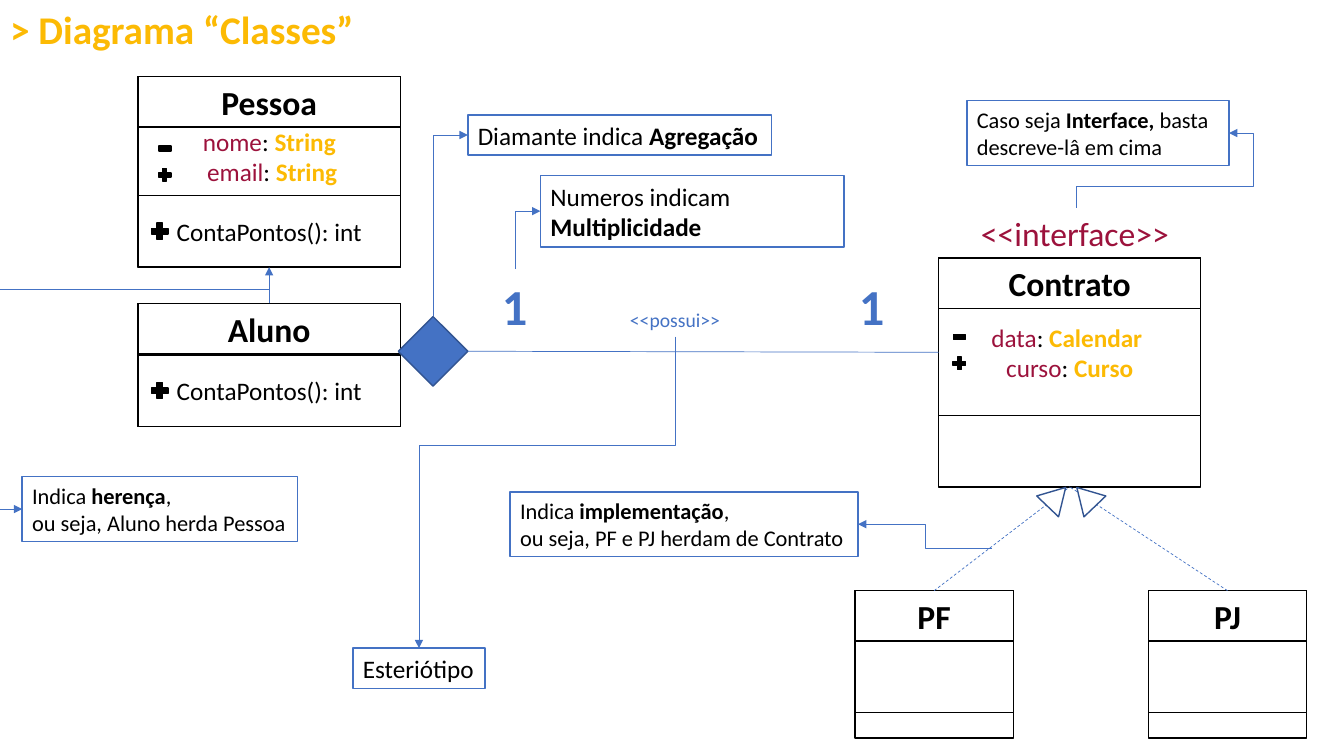
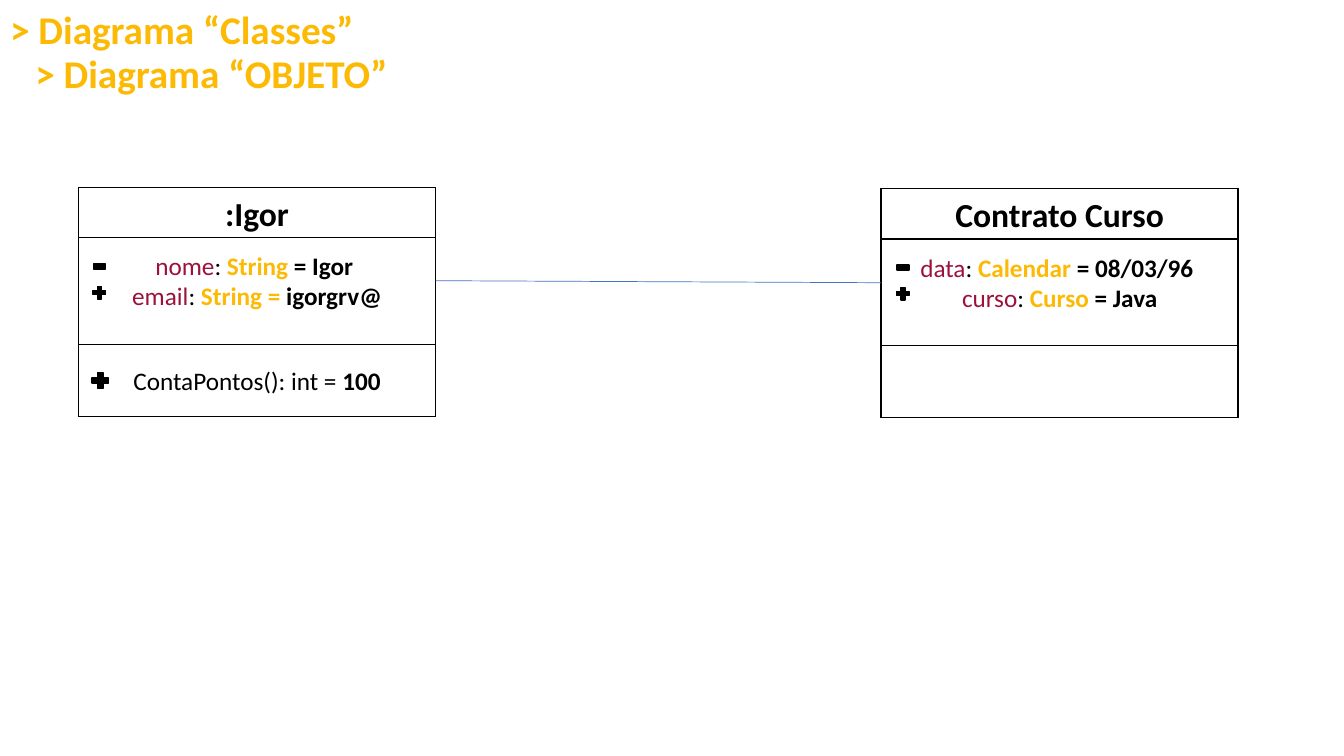
from dataclasses import dataclass

from lxml import etree
from pptx import Presentation
from pptx import util as u
from pptx.dml.color import RGBColor
from pptx.enum import dml, shapes, text
from pptx.oxml.ns import qn


@dataclass(frozen=True)
class Theme:
    font: str = "Calibri"
    ink: str = "000000"
    paper: str = "FFFFFF"
    gold: str = "FCBA04"
    wine: str = "9C123C"
    blue: str = "4472C4"
    edge: str = "325491"
    title: int = 28
    name: int = 24
    body: int = 18
    note: int = 16
    label: int = 14
    count: int = 36


theme = Theme()
GRID = u.Inches(0.1)  # the slide is 133.3 columns by 75 rows
RECT = shapes.MSO_SHAPE.RECTANGLE
PLUS = shapes.MSO_SHAPE.MATH_PLUS
TRIANGLE = shapes.MSO_SHAPE.ISOSCELES_TRIANGLE
LEFT, CENTER = text.PP_ALIGN.LEFT, text.PP_ALIGN.CENTER
TOP_SITE, LEFT_SITE, BOTTOM_SITE, RIGHT_SITE = range(4)


def place(page, kind, frame, lines=(), size=theme.body, align=CENTER,
          fill=theme.paper, edge=theme.ink, wrap=True):
    """Add a shape, or a text box if kind is None; lines hold (text, colour, bold) spans."""
    area = [round(length * GRID) for length in frame]
    if kind is None:
        box = page.shapes.add_textbox(*area)
    else:
        box = page.shapes.add_shape(kind, *area)
        box.shadow.inherit = False
        box.fill.solid()
        box.fill.fore_color.rgb = RGBColor.from_string(fill)
        box.line.color.rgb = RGBColor.from_string(edge)
        box.line.width = u.Pt(1)
    if lines:
        frame_text = box.text_frame
        frame_text.word_wrap = wrap
        frame_text.vertical_anchor = text.MSO_ANCHOR.MIDDLE
        for number, spans in enumerate(lines):
            para = frame_text.add_paragraph() if number else frame_text.paragraphs[0]
            para.alignment = align
            para.font.name, para.font.size = theme.font, u.Pt(size)
            for words, colour, bold in spans:
                span = para.add_run()
                span.text = words
                span.font.bold = bold
                span.font.color.rgb = RGBColor.from_string(colour)
    return box


def link(page, start, end, bends=None, turn=0, arrow=False, dashed=False):
    """Join two ends, each a (shape, site) pair or a (column, row) point."""
    kind = shapes.MSO_CONNECTOR.STRAIGHT if bends is None else shapes.MSO_CONNECTOR.ELBOW
    glued = [not isinstance(tip[0], (int, float)) for tip in (start, end)]
    points = [(0, 0) if fixed else [round(length * GRID) for length in tip]
              for tip, fixed in zip((start, end), glued)]
    line = page.shapes.add_connector(kind, *points[0], *points[1])
    if glued[0]:
        line.begin_connect(*start)
    if glued[1]:
        line.end_connect(*end)
    line.line.color.rgb = RGBColor.from_string(theme.blue)
    line.line.width = u.Pt(0.5)
    if dashed:
        line.line.dash_style = dml.MSO_LINE.DASH
    properties = line._element.spPr
    if arrow:
        etree.SubElement(properties.find(qn("a:ln")), qn("a:tailEnd"), type="triangle")
    etree.SubElement(properties, qn("a:effectLst"))
    if bends is not None:
        # Turn the span back about its middle, then let the frame rotate it
        across, down = line.end_x - line.begin_x, line.end_y - line.begin_y
        middle_x, middle_y = line.begin_x + across // 2, line.begin_y + down // 2
        across, down = {0: (across, down), 90: (down, -across), 180: (-across, -down)}[turn]
        line.begin_x, line.end_x = middle_x - across // 2, middle_x + across // 2
        line.begin_y, line.end_y = middle_y - down // 2, middle_y + down // 2
        properties.find(qn("a:xfrm")).set("rot", str(turn * 60000))
        geometry = properties.find(qn("a:prstGeom"))
        geometry.set("prst", f"bentConnector{len(bends) + 2}")
        for number, share in enumerate(bends, 1):
            name = "adj" if len(bends) == 0 else f"adj{number}"
            etree.SubElement(geometry.find(qn("a:avLst")), qn("a:gd"),
                             name=name, fmla=f"val {round(share * 100000)}")
    return line


deck = Presentation()
deck.slide_width, deck.slide_height = u.Inches(13.33), u.Inches(7.5)

# Pages and their headings: words, left, top, width
headings = [
    (5, [("> Diagrama “Classes”", 0, 0, 36.5)]),
    (0, [("> Diagrama “Classes”", 0, 0, 36.5), ("> Diagrama “OBJETO”", 2.5, 4.4, 37.3)]),
]
pages = []
for layout, rows in headings:
    page = deck.slides.add_slide(deck.slide_layouts[layout])
    pages.append(page)
    for box, (words, left, top, width) in zip(page.placeholders, rows):
        box.left, box.top = round(left * GRID), round(top * GRID)
        box.width, box.height = round(width * GRID), round(5.7 * GRID)
        frame_text = box.text_frame
        frame_text.text = words
        frame_text.word_wrap = False
        frame_text.auto_size = text.MSO_AUTO_SIZE.NONE
        frame_text.vertical_anchor = text.MSO_ANCHOR.TOP
        para = frame_text.paragraphs[0]
        para.alignment, para.space_before = LEFT, u.Pt(0)
        para.font.name, para.font.size, para.font.bold = theme.font, u.Pt(theme.title), True
        para.font.color.rgb = RGBColor.from_string(theme.gold)
classes_page, objects_page = pages

# Class boxes: page, name, left, top, width, height, foot height,
# attributes (name, type, value), attribute offset, mark offset, method, result
call = "ContaPontos(): int"
classes = [
    (classes_page, "Pessoa", 13.7, 7.6, 26, 18.9, 7.1,
     [("nome", "String ", ""), ("email", "String", "")], (0.3, 4.4), (1.8, 8.9), call, ""),
    (classes_page, "Aluno", 13.7, 30.1, 26, 12.2, 7.1, [], None, None, call, ""),
    (classes_page, "Contrato", 93.1, 25.6, 26, 22.7, 7.1,
     [("data", "Calendar ", ""), ("curso", "Curso", "")], (0, 5.8), (1.2, 9.6), "", ""),
    (classes_page, "PF", 84.8, 58.6, 15.7, 14.6, 2.5, [], None, None, "", ""),
    (classes_page, "PJ", 113.9, 58.6, 15.7, 14.6, 2.5, [], None, None, "", ""),
    (objects_page, ":Igor", 7.8, 18.6, 35.4, 22.7, 7.1,
     [("nome", "String ", "= Igor "), ("email", "String = ", "igorgrv@")],
     (0, 5.7), (1.2, 9.6), call + " = ", "100"),
    (objects_page, "Contrato Curso", 87.4, 18.7, 35.4, 22.7, 7.1,
     [("data", "Calendar ", "= 08/03/96 "), ("curso", "Curso ", "= Java")],
     (0, 5.8), (1.3, 9.6), "", ""),
]
heads, lists, feet = {}, {}, {}
for (page, name, left, top, width, height, foot,
     attributes, offset, mark, method, result) in classes:
    place(page, RECT, (left, top, width, height))
    heads[name] = place(page, RECT, (left, top, width, 5),
                        [[(name, theme.ink, True)]], theme.name)
    foot_top = top + height - foot
    spans = [(method, theme.ink, False), (result, theme.ink, True)]
    lines = [[span for span in spans if span[0]]] if method else ()
    feet[name] = place(page, RECT, (left, foot_top, width, foot), lines)
    if method:
        place(page, PLUS, (left + 1.05, foot_top + 2.45, 2.2, 2.2), fill=theme.ink)
    if attributes:
        lines = []
        for field, kind, value in attributes:
            spans = [(field, theme.wine, False), (": ", theme.ink, False),
                     (kind, theme.gold, True), (value, theme.ink, True)]
            lines.append([span for span in spans if span[0]])
        lists[name] = place(page, None, (left + offset[0], top + offset[1], width, 7.1), lines)
        mark_left, mark_top = left + mark[0], top + mark[1]
        place(page, RECT, (mark_left + 0.25, mark_top - 2, 1.2, 0.5), fill=theme.ink)
        place(page, PLUS, (mark_left, mark_top, 1.7, 1.7), fill=theme.ink)

# Notes: frame, size, wrap, lines whose every second part is bold
notes = {}
for key, frame, size, wrap, lines in [
    ("aggregation", (46.4, 11.4, 30.1, 4), theme.body, False,
     [["Diamante indica ", "Agregação"]]),
    ("multiplicity", (53.6, 17.4, 30.1, 7.1), theme.body, True,
     [["Numeros indicam ", "Multiplicidade"]]),
    ("interface", (95.9, 10, 26, 6.4), theme.note, True,
     [["Caso seja ", "Interface,", " basta descreve-lâ em cima"]]),
    ("implementation", (50.6, 48.8, 34.5, 6.4), theme.note, False,
     [["Indica ", "implementação", ","], ["ou seja, PF e PJ herdam de Contrato"]]),
    ("inheritance", (2.2, 47.3, 27.3, 6.4), theme.note, False,
     [["Indica ", "herença", ","], ["ou seja, Aluno herda Pessoa"]]),
    ("stereotype", (35, 64.3, 13.1, 4), theme.body, False, [["Esteriótipo"]]),
]:
    lines = [[(part, theme.ink, number % 2 == 1) for number, part in enumerate(parts)]
             for parts in lines]
    notes[key] = place(classes_page, RECT, frame, lines, size, LEFT,
                       edge=theme.blue, wrap=wrap)

# Free labels
labels = {}
for key, words, frame, size, colour, bold in [
    ("one left", "1", (48.8, 26.7, 4.6, 7.1), theme.count, theme.blue, True),
    ("one right", "1", (84.2, 26.7, 4.6, 7.1), theme.count, theme.blue, True),
    ("owns", "<<possui>>", (61.5, 30, 11, 3.4), theme.label, theme.blue, False),
    ("interface", "<<interface>>", (96.3, 20.6, 20.9, 5), theme.name, theme.wine, False),
]:
    labels[key] = place(classes_page, None, frame, [[(words, colour, bold)]],
                        size, LEFT, wrap=False)

# Relations between classes
diamond = place(classes_page, shapes.MSO_SHAPE.DIAMOND, (39.5, 31.4, 6.9, 6.9),
                fill=theme.blue, edge=theme.edge)
link(classes_page, (diamond, RIGHT_SITE), (lists["Contrato"], LEFT_SITE))
link(classes_page, (heads["Aluno"], TOP_SITE), (feet["Pessoa"], BOTTOM_SITE), arrow=True)
for name, left, angle in [("PF", 103.3, 43.6), ("PJ", 106.2, 316.4)]:
    link(classes_page, (heads[name], TOP_SITE), (feet["Contrato"], BOTTOM_SITE), dashed=True)
    tip = place(classes_page, TRIANGLE, (left, 48, 3, 2.6), edge=theme.edge)
    tip.rotation = angle
link(objects_page, (lists[":Igor"], RIGHT_SITE), (lists["Contrato Curso"], LEFT_SITE))

# Arrows to the notes: start, note, site, bends, turn
for start, key, site, bends, turn in [
    ((diamond, TOP_SITE), "aggregation", LEFT_SITE, (), 90),
    ((labels["one left"], TOP_SITE), "multiplicity", LEFT_SITE, (), 90),
    ((labels["interface"], TOP_SITE), "interface", RIGHT_SITE, (0.29, 1.16), 90),
    ((labels["owns"], BOTTOM_SITE), "stereotype", TOP_SITE, (0.35,), 90),
    ((98.4, 54.4), "implementation", RIGHT_SITE, (0.5,), 180),
    ((26.7, 28.7), "inheritance", LEFT_SITE, (1.1,), 180),
]:
    link(classes_page, start, (notes[key], site), bends, turn, arrow=True)

deck.save("out.pptx")
